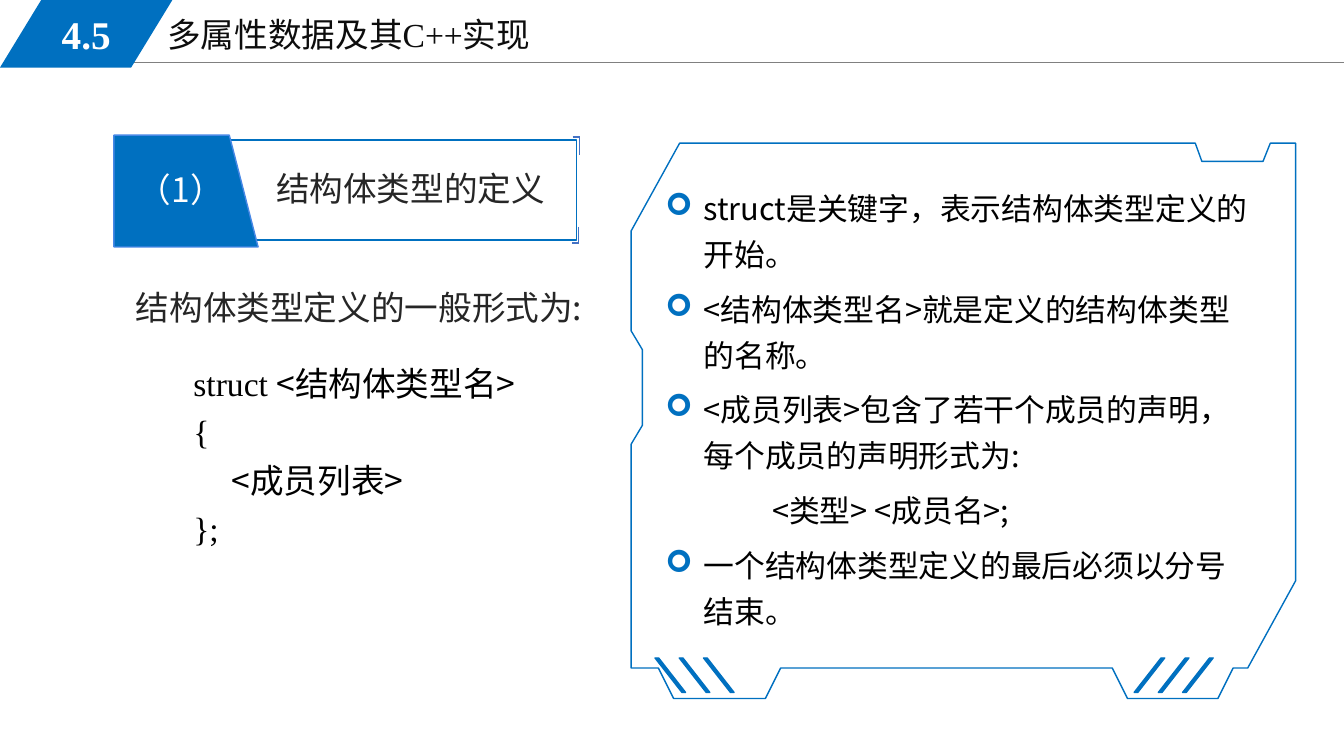
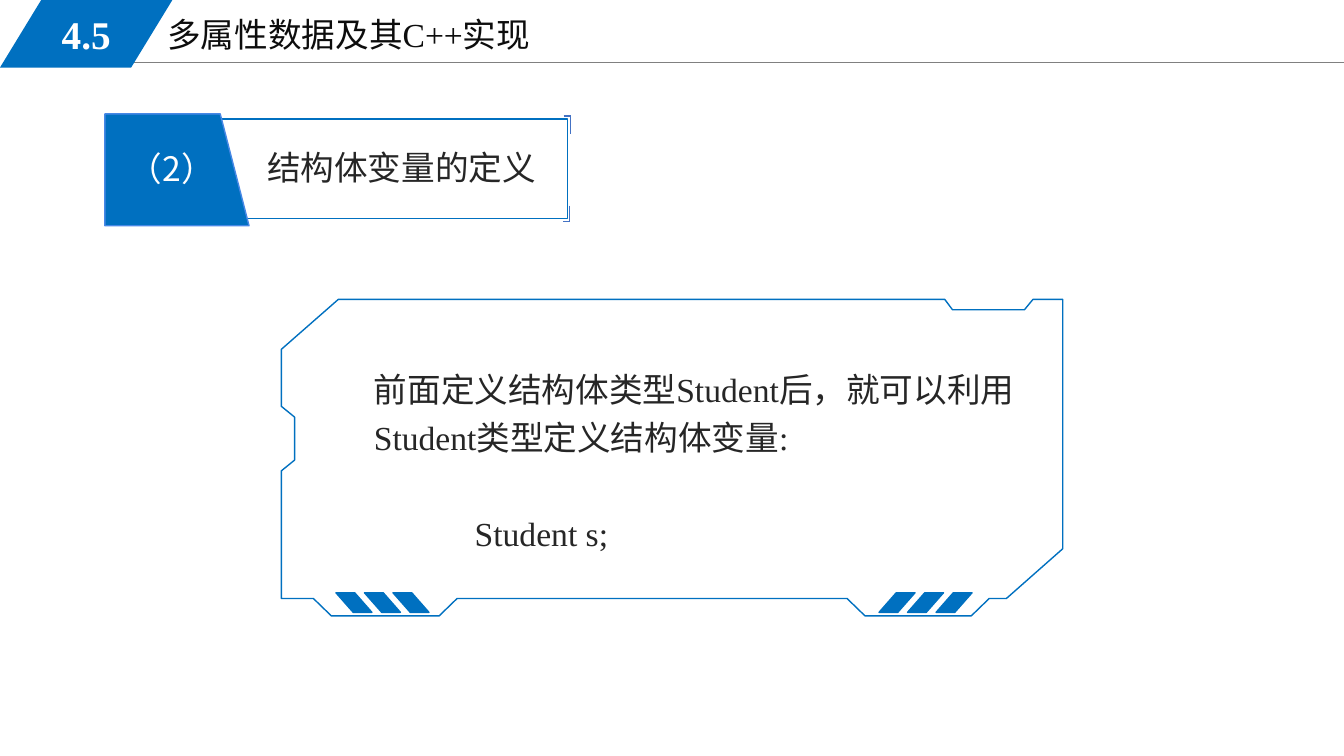
from dataclasses import dataclass

from lxml import etree
from pptx import Presentation
from pptx.dml.color import RGBColor
from pptx.enum.shapes import MSO_CONNECTOR, MSO_SHAPE
from pptx.enum.text import MSO_ANCHOR, PP_ALIGN
from pptx.oxml.ns import qn
from pptx.util import Inches, Pt

STRAIGHT = MSO_CONNECTOR.STRAIGHT
RECTANGLE = MSO_SHAPE.RECTANGLE
PARALLELOGRAM = MSO_SHAPE.PARALLELOGRAM
MANUAL_INPUT = MSO_SHAPE.FLOWCHART_MANUAL_INPUT
TOP, MIDDLE = MSO_ANCHOR.TOP, MSO_ANCHOR.MIDDLE
LEFT, CENTER = PP_ALIGN.LEFT, PP_ALIGN.CENTER


@dataclass(frozen=True)
class Theme:
    blue: str = "0070C0"
    edge: str = "4788E6"
    corner: str = "4472C4"
    rule: str = "808080"
    title: str = "0D0D0D"
    text: str = "262626"
    black: str = "000000"
    white: str = "FFFFFF"
    serif: str = "Times New Roman"
    sans: str = "Noto Sans CJK SC"
    badge_size: int = 28
    size: int = 24
    list_size: int = 22


THEME = Theme()
SERIF, SANS = THEME.serif, THEME.sans
WIDTH, HEIGHT = 13.33, 7.5
SECTION, TITLE = "4.5", "多属性数据及其C++实现"

BULLET = {"margin": 0.38, "indent": -0.38, "bullet": "➢"}
CODE = {"indent": 0.69}

SLIDES = [
    {
        "heading": ("（1）", "结构体类型的定义", 1.13, 1.39),
        "frame": (6.26, 1.42, 6.59, 5.51),
        "stripes": (3.6, 75.7),
        "texts": [
            {
                "box": (0.56, 2.72, 5.58, 0.54),
                "color": THEME.text,
                "paragraphs": [([("结构体类型定义的一般形式为:", SANS)], CODE)],
            },
            {
                "box": (1.13, 3.47, 4.54, 2.04),
                "color": THEME.black,
                "paragraphs": [
                    ([("struct ", SERIF), ("<结构体类型名>", SANS)], CODE),
                    ([("{", SERIF)], CODE),
                    ([("<成员列表>", SANS)], {"indent": 1.07}),
                    ([("};", SERIF)], CODE),
                ],
            },
            {
                "box": (6.5, 1.74, 6.05, 4.56),
                "color": THEME.black,
                "size": THEME.list_size,
                "spacing": 1.25,
                "before": 6,
                "paragraphs": [
                    ([("struct是关键字，表示结构体类型定义的开始。", SANS)], BULLET),
                    ([("<结构体类型名>就是定义的结构体类型的名称。", SANS)], BULLET),
                    ([("<成员列表>包含了若干个成员的声明，每个成员的声明形式为:", SANS)], BULLET),
                    ([("<类型> <成员名>;", SANS)], {"indent": 1.06}),
                    ([("一个结构体类型定义的最后必须以分号结束。", SANS)], BULLET),
                ],
            },
        ],
    },
    {
        "heading": ("（2）", "结构体变量的定义", 1.04, 1.18),
        "frame": (2.79, 2.97, 7.75, 3.14),
        "stripes": (7, 76.5),
        "texts": [
            {
                "box": (3.61, 3.53, 7.4, 2.94),
                "color": THEME.text,
                "before": 34,
                "paragraphs": [
                    ([("前面定义结构体类型Student后，就可以利用Student类型定义结构体变量:", SERIF)], {}),
                    ([("Student s;", SERIF)], {"indent": 1}),
                ],
            },
        ],
    },
]

FRAME_OUTLINE = [
    (74.7, 100), (88.3, 100), (90.6, 94.5), (92.8, 94.5), (100, 78.8), (100, 0),
    (96.2, 0), (95.1, 3.3), (85.9, 3.3), (84.9, 0), (7.3, 0), (0, 15.8),
    (0, 33.8), (1.7, 37.2), (1.7, 50.8), (0, 54.2), (0, 94.5), (4.1, 94.5),
    (6.4, 100), (20.2, 100), (22.5, 94.5), (72.4, 94.5),
]
STRIPE = {"top": 92.7, "width": 4.6, "height": 6.2, "step": 3.65, "count": 3}
CARD_WIDTH, CARD_HEIGHT = 4.59, 0.99
CARD_CORNERS = [
    [(-0.04, -0.03), (0.03, -0.03), (0.03, 0.15)],
    [(0.02, 0.86), (0.02, 1.02), (-0.05, 1.02)],
]


def inches(values):
    return [Inches(value) for value in values]


def paint(shape, fill=None, line=None):
    shape.shadow.inherit = False
    if fill:
        shape.fill.solid()
        shape.fill.fore_color.rgb = RGBColor.from_string(fill)
    else:
        shape.fill.background()
    if line:
        shape.line.color.rgb = RGBColor.from_string(line)
        shape.line.width = Pt(1)
    else:
        shape.line.fill.background()


def add_block(slide, kind, box, fill=None, line=None, slant=None):
    shape = slide.shapes.add_shape(kind, *inches(box))
    paint(shape, fill, line)
    if slant:
        shape.adjustments[0] = slant
    return shape


def add_line(slide, start, end, color, width=1):
    connector = slide.shapes.add_connector(STRAIGHT, *inches(start + end))
    connector.line.color.rgb = RGBColor.from_string(color)
    connector.line.width = Pt(width)
    etree.SubElement(connector._element.spPr, qn("a:effectLst"))


def format_paragraph(paragraph, margin=0, indent=0, bullet=None):
    properties = paragraph._p.get_or_add_pPr()
    properties.set("marL", str(Inches(margin)))
    properties.set("indent", str(Inches(indent)))
    if bullet:
        color = etree.SubElement(properties, qn("a:buClr"))
        etree.SubElement(color, qn("a:srgbClr"), val=THEME.blue)
        etree.SubElement(properties, qn("a:buFont"), typeface="Wingdings")
        etree.SubElement(properties, qn("a:buChar"), char=bullet)


def add_run(paragraph, text, typeface, size, color, bold=False):
    run = paragraph.add_run()
    run.text = text
    for name, value in {"name": typeface, "size": Pt(size), "bold": bold}.items():
        setattr(run.font, name, value)
    run.font.color.rgb = RGBColor.from_string(color)
    latin = run._r.rPr.find(qn("a:latin"))
    east_asian = etree.Element(qn("a:ea"), typeface=SANS)
    latin.addnext(east_asian)


def write(shape, paragraphs, color, size=THEME.size, spacing=1.0, before=0,
          align=LEFT, anchor=TOP, wrap=True, bold=False):
    frame = shape.text_frame
    for name, value in {"word_wrap": wrap, "vertical_anchor": anchor}.items():
        setattr(frame, name, value)
    for index, (runs, layout) in enumerate(paragraphs):
        paragraph = frame.add_paragraph() if index else frame.paragraphs[0]
        format_paragraph(paragraph, **layout)
        values = {"alignment": align, "line_spacing": spacing,
                  "space_before": Pt(before if index else 0)}
        for name, value in values.items():
            setattr(paragraph, name, value)
        for text, typeface in runs:
            add_run(paragraph, text, typeface, size, color, bold)


def add_text(slide, box, paragraphs, color, **options):
    write(slide.shapes.add_textbox(*inches(box)), paragraphs, color, **options)


def add_header(slide):
    title = slide.shapes.title
    title.left, title.top, title.width, title.height = inches((1.56, 0.09, 5.67, 0.51))
    write(title, [([(TITLE, SERIF)], {})], THEME.title)
    add_line(slide, (1.13, 0.62), (WIDTH, 0.62), THEME.rule, 0.75)
    badge = add_block(slide, PARALLELOGRAM, (0, 0, 1.71, 0.67), THEME.blue, slant=0.61)
    write(badge, [([(SECTION, SERIF)], {})], THEME.white, size=THEME.badge_size,
          align=CENTER, anchor=MIDDLE, wrap=False, bold=True)


def add_heading(slide, number, label, left, top):
    add_block(slide, RECTANGLE, (left, top, CARD_WIDTH, CARD_HEIGHT), line=THEME.blue)
    tab = add_block(slide, MANUAL_INPUT, (left + 0.16, top - 0.21, 1.11, 1.43),
                    THEME.blue, THEME.edge)
    tab.rotation = 90
    add_text(slide, (left + 0.14, top + 0.24, 1.3, 0.5),
             [([(number, SANS)], {})], THEME.white)
    add_text(slide, (left + 1.51, top + 0.23, 2.89, 0.5),
             [([(label, SERIF)], {})], THEME.text)
    for corner in CARD_CORNERS:
        points = [(left + CARD_WIDTH + x, top + y) for x, y in corner]
        for start, end in zip(points, points[1:]):
            add_line(slide, start, end, THEME.corner)


def add_frame(slide, box, stripe_starts):
    left, top, width, height = box

    def place(x, y):
        return left + width * x / 100, top + height * y / 100

    points = [inches(place(x, y)) for x, y in FRAME_OUTLINE]
    builder = slide.shapes.build_freeform(*points[0])
    builder.add_line_segments(points[1:], close=True)
    paint(builder.convert_to_shape(), line=THEME.blue)
    size = (width * STRIPE["width"] / 100, height * STRIPE["height"] / 100)
    for start, mirrored in zip(stripe_starts, (True, False)):
        for index in range(STRIPE["count"]):
            corner = place(start + index * STRIPE["step"], STRIPE["top"])
            stripe = add_block(slide, PARALLELOGRAM, corner + size,
                               THEME.blue, THEME.blue, slant=0.88)
            if mirrored:
                stripe._element.spPr.find(qn("a:xfrm")).set("flipH", "1")


def main():
    presentation = Presentation()
    presentation.slide_width, presentation.slide_height = inches((WIDTH, HEIGHT))
    title_only = presentation.slide_layouts[5]
    for content in SLIDES:
        slide = presentation.slides.add_slide(title_only)
        add_header(slide)
        add_heading(slide, *content["heading"])
        add_frame(slide, content["frame"], content["stripes"])
        for text in content["texts"]:
            add_text(slide, **{"spacing": 1.2, **text})
    presentation.save("out.pptx")


if __name__ == "__main__":
    main()
